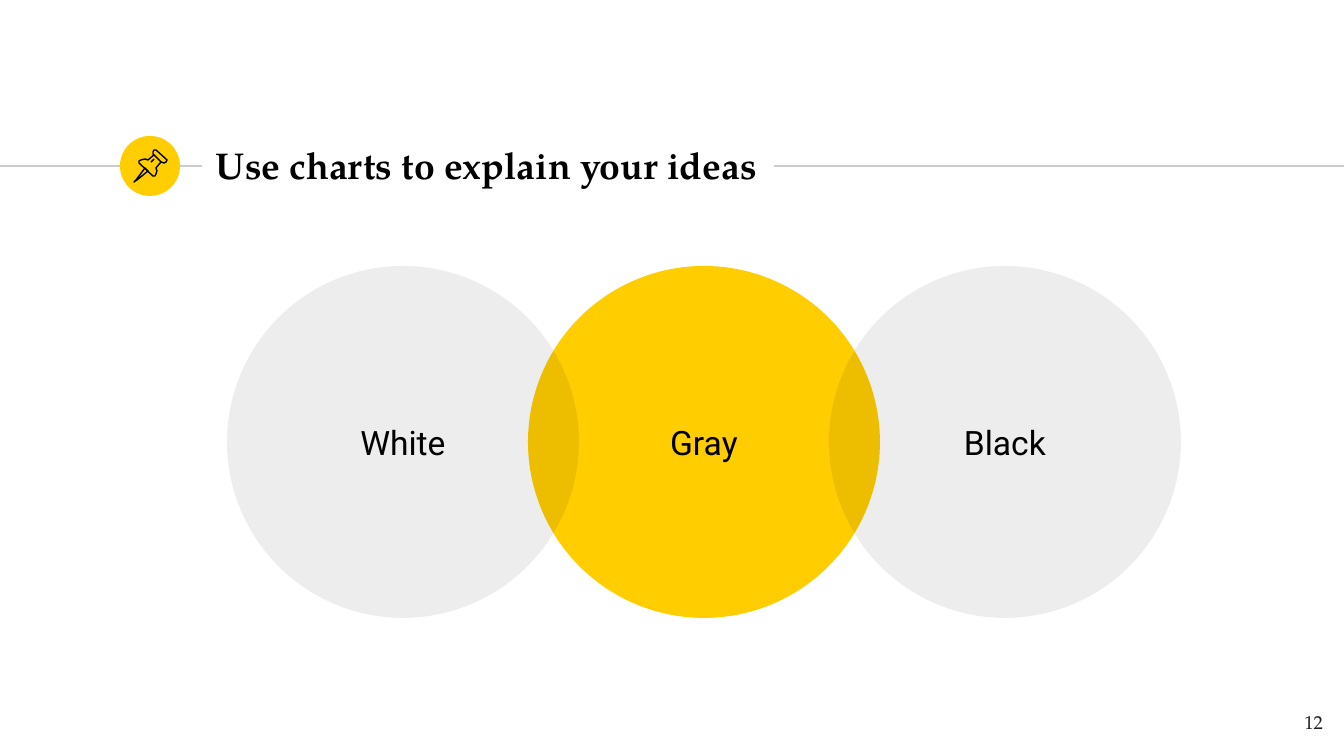
from lxml.etree import SubElement
from pptx import Presentation
from pptx.dml.color import RGBColor
from pptx.enum.shapes import MSO_CONNECTOR, MSO_SHAPE
from pptx.enum.text import MSO_ANCHOR, MSO_AUTO_SIZE, PP_ALIGN
from pptx.oxml.ns import qn
from pptx.util import Pt

PX = 9144000 / 1344  # EMU per px
YELLOW = RGBColor(0xFF, 0xCD, 0x00)
BLACK = RGBColor(0x00, 0x00, 0x00)
INK = RGBColor(0x1D, 0x1D, 0x1B)
RULE = RGBColor(0xCC, 0xCC, 0xCC)
SERIF, SANS = "TeX Gyre Pagella", "Roboto"


def box(*lengths):
    return [round(v * PX) for v in lengths]


def write(sp, text, font, size, color, align, anchor, bold=False):
    tf = sp.text_frame
    tf.word_wrap, tf.auto_size = True, MSO_AUTO_SIZE.NONE
    tf.vertical_anchor = anchor
    tf.margin_left = tf.margin_right = tf.margin_top = tf.margin_bottom = round(13 * PX)
    p = tf.paragraphs[0]
    p.text, p.alignment = text, align
    p.font.name, p.font.size, p.font.bold = font, Pt(size), bold
    p.font.color.rgb = color


prs = Presentation()
prs.slide_width, prs.slide_height = box(1344, 756)
s = prs.slides.add_slide(prs.slide_layouts[5])

# Rules on both sides of the title
for x1, x2 in ((0, 202), (774, 1344)):
    line = s.shapes.add_connector(MSO_CONNECTOR.STRAIGHT, *box(x1, 166, x2, 166))
    line.line.color.rgb, line.line.width = RULE, Pt(0.75)
    SubElement(line._element.spPr, qn("a:effectLst"))

# Title
title = s.shapes.title
title.left, title.top, title.width, title.height = box(203, 132, 570, 65)
write(title, "Use charts to explain your ideas", SERIF, 20, BLACK,
      PP_ALIGN.LEFT, MSO_ANCHOR.MIDDLE, bold=True)

# Icon badge
badge = s.shapes.add_shape(MSO_SHAPE.OVAL, *box(120, 136, 60, 60))
badge.shadow.inherit = False
badge.fill.solid()
badge.fill.fore_color.rgb = YELLOW
badge.line.fill.background()

# Pushpin: outline points and whether the outline closes
pin_parts = [
    ([(145, 168), (136, 180), (134, 182), (137, 180), (148, 171)], True),  # needle
    ([(154, 155), (161, 162), (164, 163), (166, 162), (167, 160), (156, 150),
      (154, 150), (153, 152), (153, 154)], True),  # head
    ([(154, 155), (148, 160), (145, 159), (141, 160), (139, 161), (139, 163),
      (153, 176), (155, 176), (156, 174), (157, 171), (156, 168), (161, 162)], False),  # body
    ([(151, 162), (154, 159)], False),  # glint
]
pin = s.shapes.add_group_shape()
for points, closed in pin_parts:
    builder = pin.shapes.build_freeform(*points[0], scale=PX)
    builder.add_line_segments(points[1:], close=closed)
    sp = builder.convert_to_shape()
    sp.shadow.inherit = False
    sp.fill.background()
    sp.line.color.rgb, sp.line.width = BLACK, Pt(0.75)

# Overlapping circles, the tinted outer ones on top of the middle one
for column, label, color, alpha in ((1, "Gray", YELLOW, 100),
                                    (0, "White", BLACK, 7),
                                    (2, "Black", BLACK, 7)):
    sp = s.shapes.add_shape(MSO_SHAPE.OVAL, *box(227 + 301 * column, 266, 352, 352))
    sp.shadow.inherit = False
    sp.fill.solid()
    sp.fill.fore_color.rgb = color
    if alpha < 100:
        rgb = sp._element.spPr.find(qn("a:solidFill")).find(qn("a:srgbClr"))
        SubElement(rgb, qn("a:alpha"), val=str(alpha * 1000))
    sp.line.fill.background()
    write(sp, label, SANS, 18, BLACK, PP_ALIGN.CENTER, MSO_ANCHOR.MIDDLE)

# Slide number
number = s.shapes.add_textbox(*box(1255, 698, 81, 58))
write(number, "12", SERIF, 10, INK, PP_ALIGN.RIGHT, MSO_ANCHOR.TOP)

prs.save("out.pptx")
